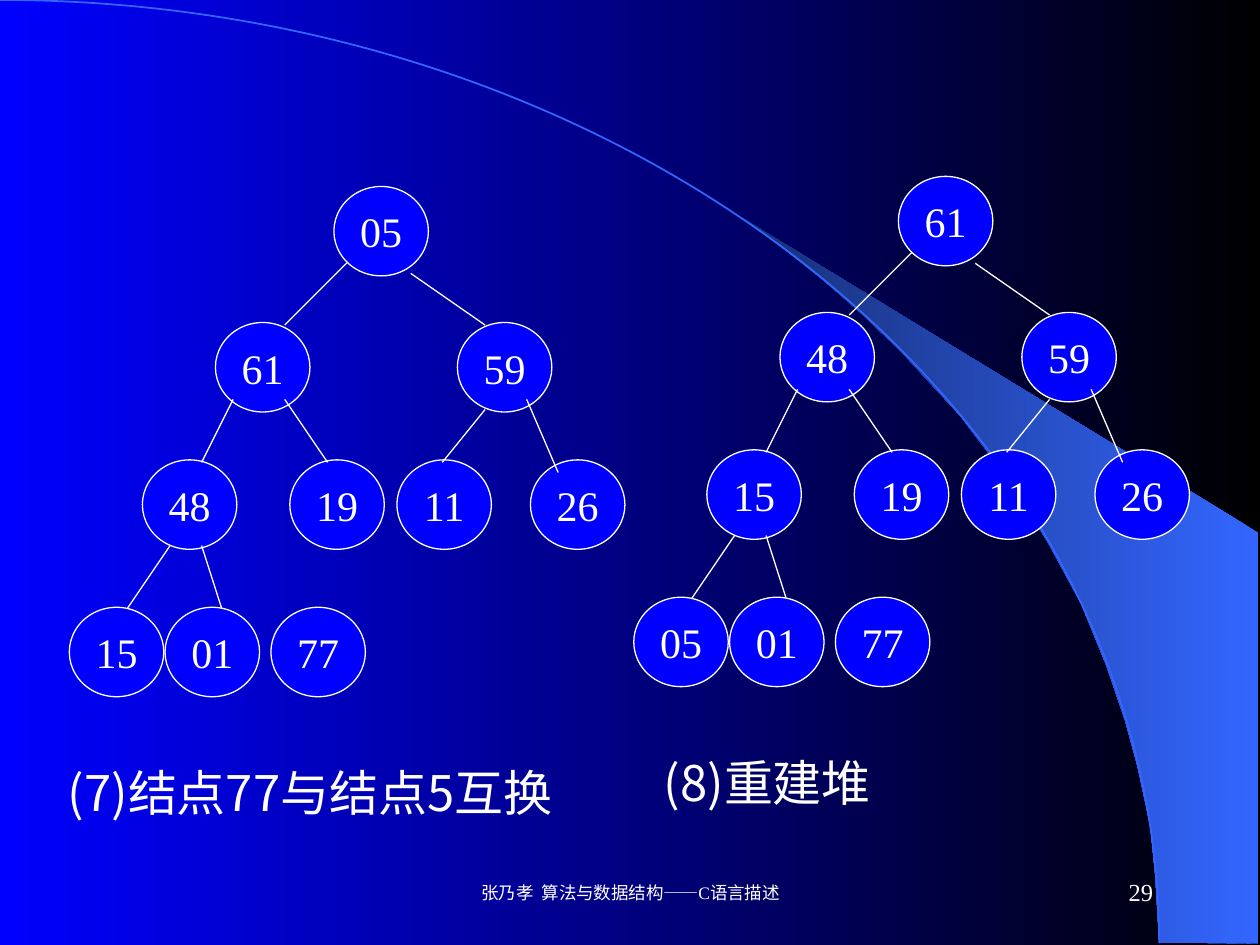
"""Draw two heap-sort trees side by side on a blue gradient slide."""
from dataclasses import dataclass

import pptx
import pptx.dml.color
import pptx.enum.shapes
import pptx.enum.text
import pptx.oxml
import pptx.oxml.ns
import pptx.util
from pptx.util import Inches

ALIGN = pptx.enum.text.PP_ALIGN
FIT = pptx.enum.text.MSO_AUTO_SIZE
KIND = pptx.enum.shapes.MSO_SHAPE
WHITE, BLUE, SKY, NAVY, BLACK = "FFFFFF", "0000FF", "3366FF", "172F75", "000000"
SERIF, SANS = "Times New Roman", "Noto Sans CJK SC"

SPOTS = [
    (2.65, 1.48), (1.71, 2.56), (3.63, 2.56),
    (1.13, 3.65), (2.3, 3.65), (3.15, 3.65), (4.21, 3.65),
    (0.55, 4.82), (1.31, 4.82), (2.15, 4.82),
]
EDGES = [
    (2.76, 2.08, 2.26, 2.58), (1.85, 3.17, 1.6, 3.67),
    (1.35, 4.33, 1.01, 4.83), (1.6, 4.33, 1.76, 4.83),
    (2.26, 3.17, 2.6, 3.67), (3.26, 2.17, 3.85, 2.58),
    (3.85, 3.25, 3.51, 3.67), (4.18, 3.17, 4.43, 3.75),
]
SWOOSH = [
    (9.2, 7.48), (9.99, 7.49), (9.99, 4.23), (5.89, 1.73), (6.24, 1.99),
    (6.53, 2.22), (6.85, 2.5), (7.16, 2.8), (7.62, 3.3), (8.03, 3.84),
    (8.32, 4.31), (8.58, 4.79), (8.78, 5.28), (8.93, 5.72), (9.03, 6.09),
    (9.13, 6.56), (9.17, 6.96),
]


@dataclass
class Tree:
    """A heap drawing: node keys in level order and its offset."""
    keys: str
    dx: float
    dy: float


@dataclass
class Label:
    """A text box with its place and style."""
    text: str
    box: tuple[float, float, float, float]
    size: float
    face: str
    align: ALIGN = ALIGN.LEFT
    before: float = 0
    wrap: bool = True
    middle: bool = False


TREES = [
    Tree("05 61 59 48 19 11 26 15 01 77", 0, 0),
    Tree("61 48 59 15 19 11 26 05 01 77", 4.48, -0.08),
]
LABELS = [
    Label("(7)结点77与结点5互换", (0.44, 6, 4.55, 0.57), 28, SANS,
          before=17.5, wrap=False),
    Label("(8)重建堆", (5.17, 5.92, 4.33, 0.57), 28, SANS, before=17.5),
    Label("张乃孝  算法与数据结构——C语言描述", (3.42, 6.83, 3.17, 0.5), 10, SERIF,
          ALIGN.CENTER, middle=True),
    Label("29", (7.17, 6.83, 2.08, 0.5), 14, SERIF, ALIGN.RIGHT, middle=True),
]


def tint(color, code: str) -> None:
    """Set a colour from a hex string."""
    color.rgb = pptx.dml.color.RGBColor.from_string(code)


def fade(fill, start: str, end: str) -> None:
    """Fill with a gradient running from right to left."""
    fill.gradient()
    fill.gradient_angle = 180
    for stop, code in zip(fill.gradient_stops, (start, end)):
        tint(stop.color, code)


def stroke(line, code: str, width: float) -> None:
    """Set a line's colour and width in points."""
    tint(line.color, code)
    line.width = pptx.util.Pt(width)


def write(frame, text: str, size: float, face: str, align: ALIGN):
    """Write one white paragraph and return it."""
    para = frame.paragraphs[0]
    para.text = text
    para.alignment = align
    para.font.size = pptx.util.Pt(size)
    para.font.name = face
    tint(para.font.color, WHITE)
    style = para._p.pPr.find(pptx.oxml.ns.qn("a:defRPr"))
    style.append(pptx.oxml.parse_xml(
        f'<a:ea {pptx.oxml.ns.nsdecls("a")} typeface="{SANS}"/>'))
    return para


def draw_back(slide) -> None:
    """Draw the gradient background, the swoosh and the arc."""
    fade(slide.background.fill, BLACK, BLUE)
    first, *rest = [(Inches(x), Inches(y)) for x, y in SWOOSH]
    pen = slide.shapes.build_freeform(*first)
    pen.add_line_segments(rest)
    swoosh = pen.convert_to_shape()
    swoosh.shadow.inherit = False
    fade(swoosh.fill, SKY, NAVY)
    swoosh.line.fill.background()
    arc = slide.shapes.add_shape(
        KIND.ARC, Inches(-9.2), 0, Inches(18.4), Inches(14.97))
    arc.shadow.inherit = False
    arc.fill.background()
    stroke(arc.line, SKY, 1)


def draw_node(slide, key: str, x: float, y: float) -> None:
    """Draw one round tree node."""
    node = slide.shapes.add_shape(
        KIND.OVAL, Inches(x), Inches(y), Inches(0.75), Inches(0.71))
    node.shadow.inherit = False
    node.fill.solid()
    tint(node.fill.fore_color, BLUE)
    stroke(node.line, WHITE, 0.75)
    node.text_frame.word_wrap = False
    node.text_frame.vertical_anchor = pptx.enum.text.MSO_ANCHOR.MIDDLE
    write(node.text_frame, key, 24, SERIF, ALIGN.CENTER)


def draw_tree(slide, tree: Tree) -> None:
    """Draw all nodes of a tree, then its edges."""
    for key, (x, y) in zip(tree.keys.split(), SPOTS):
        draw_node(slide, key, x + tree.dx, y + tree.dy)
    for x1, y1, x2, y2 in EDGES:
        edge = slide.shapes.add_connector(
            pptx.enum.shapes.MSO_CONNECTOR.STRAIGHT,
            Inches(x1 + tree.dx), Inches(y1 + tree.dy),
            Inches(x2 + tree.dx), Inches(y2 + tree.dy))
        stroke(edge.line, WHITE, 0.75)
        edge._element.spPr.append(pptx.oxml.parse_xml(
            f'<a:effectLst {pptx.oxml.ns.nsdecls("a")}/>'))


def draw_label(slide, label: Label) -> None:
    """Draw one text box."""
    frame = slide.shapes.add_textbox(*map(Inches, label.box)).text_frame
    frame.word_wrap = label.wrap
    frame.auto_size = FIT.NONE if label.middle else FIT.SHAPE_TO_FIT_TEXT
    if label.middle:
        frame.vertical_anchor = pptx.enum.text.MSO_ANCHOR.MIDDLE
    para = write(frame, label.text, label.size, label.face, label.align)
    para.space_before = pptx.util.Pt(label.before)


def main() -> None:
    """Build and save the slide."""
    deck = pptx.Presentation()
    deck.slide_width, deck.slide_height = Inches(10), Inches(7.5)
    slide = deck.slides.add_slide(deck.slide_layouts[6])
    draw_back(slide)
    for tree in TREES:
        draw_tree(slide, tree)
    for label in LABELS:
        draw_label(slide, label)
    deck.save("out.pptx")


if __name__ == "__main__":
    main()
